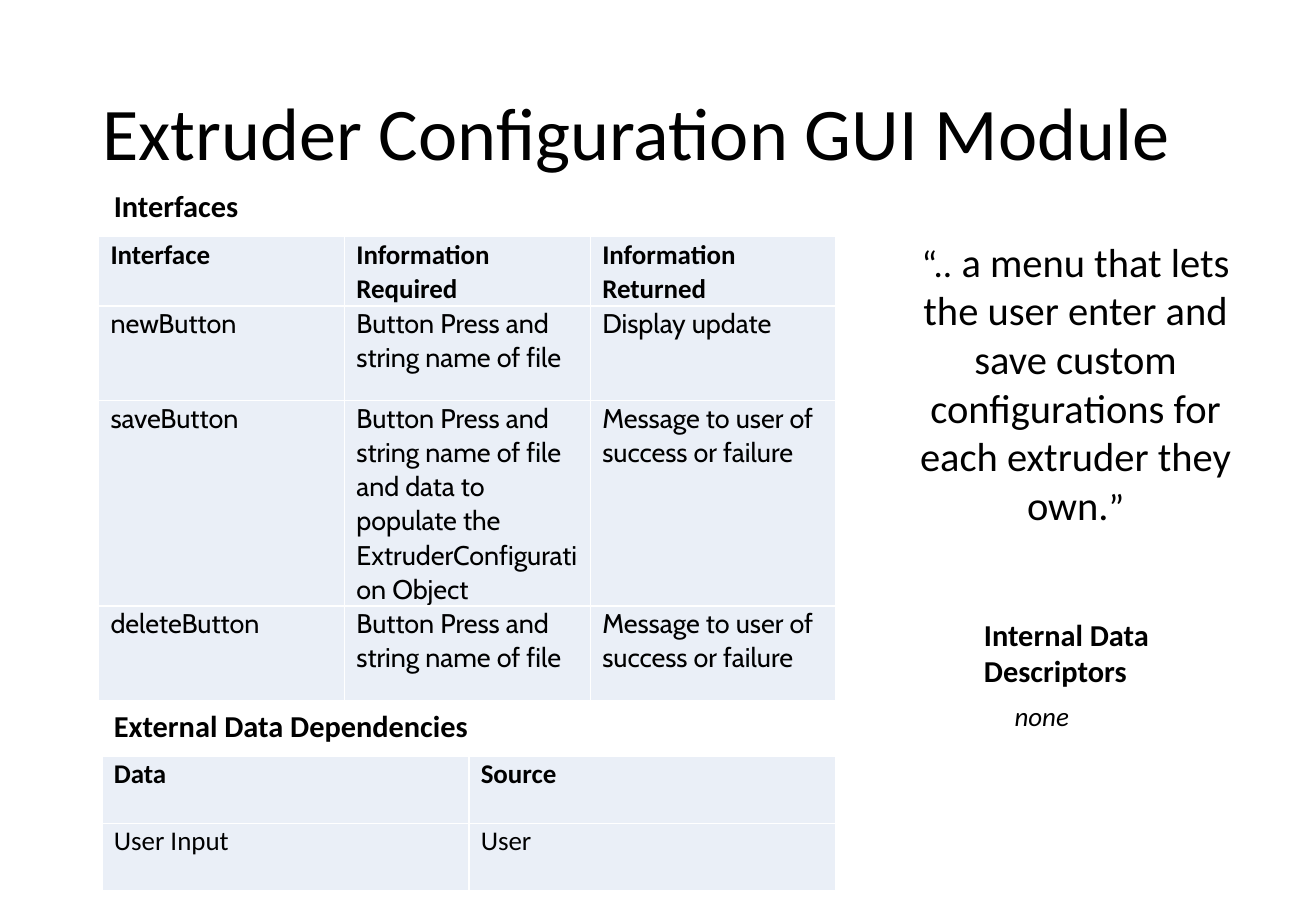
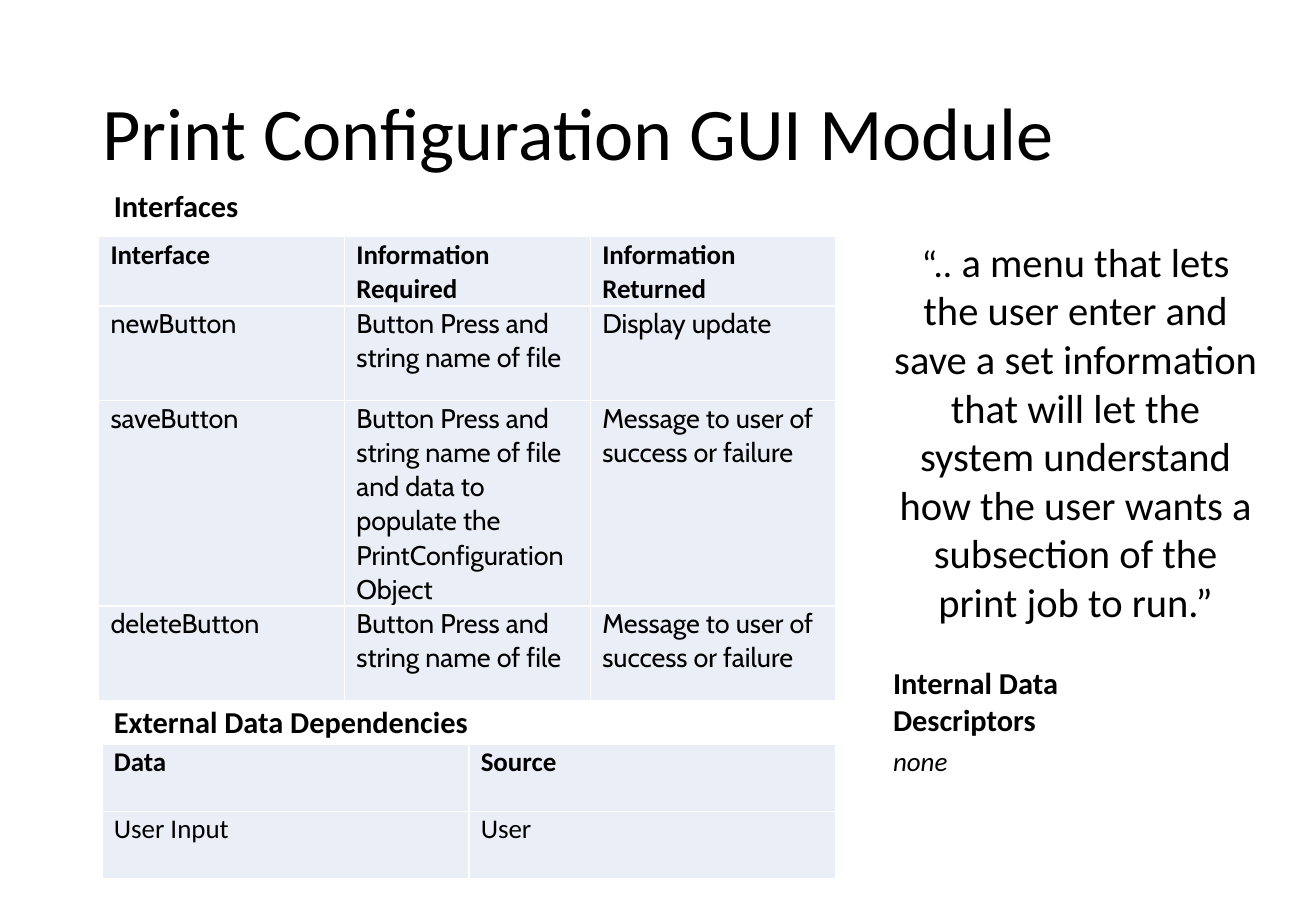
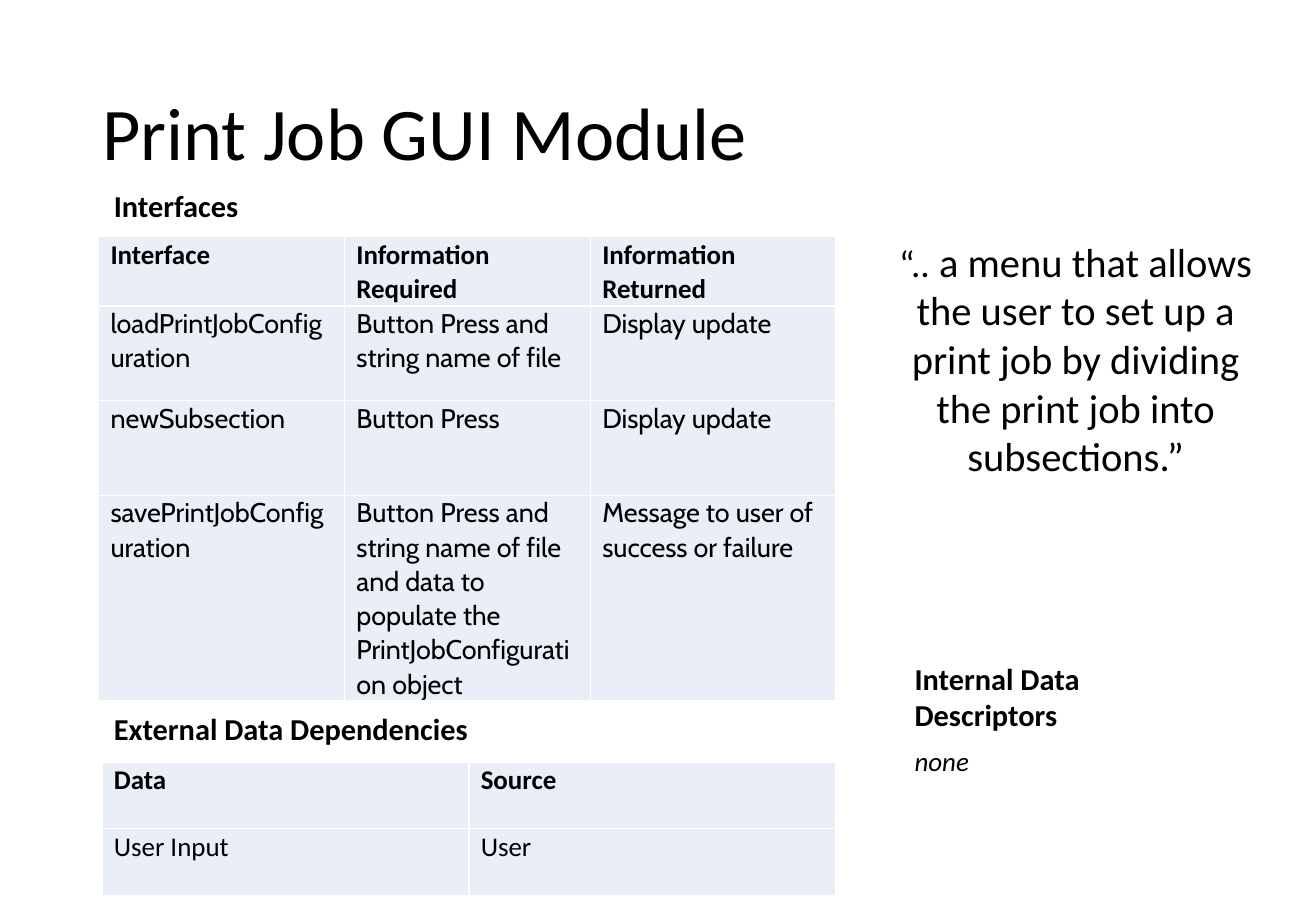
from lxml import etree
from pptx import Presentation
from pptx import util as u
from pptx.dml.color import RGBColor
from pptx.enum import text
from pptx.oxml.ns import qn

# Shared style
COLORS = {"ink": "000000", "cell": "EAEFF7", "border": "FFFFFF"}
FONT, CELL_FONT = "Calibri", "Cabin"
LEFT = 2.13


def style(p, size, font=FONT, bold=False, italic=False):
    for r in p.runs:
        r.font.name, r.font.size = font, u.Pt(size)
        r.font.bold, r.font.italic = bold, italic
        r.font.color.rgb = RGBColor.from_string(COLORS["ink"])


def add_grid(s, left, top, col_width, heights, rows, body_font):
    n_cols = len(rows[0])
    tbl = s.shapes.add_table(len(rows), n_cols, u.Cm(left), u.Cm(top),
                             u.Cm(col_width * n_cols), u.Cm(sum(heights))).table
    tbl.first_row = tbl.horz_banding = False
    for col in tbl.columns:
        col.width = u.Cm(col_width)
    for i, (height, row) in enumerate(zip(heights, rows)):
        tbl.rows[i].height = u.Cm(height)
        for j, words in enumerate(row):
            cell = tbl.cell(i, j)
            cell.margin_left = cell.margin_right = u.Cm(0.25)
            cell.margin_top = cell.margin_bottom = 0
            p = cell.text_frame.paragraphs[0]
            p.text = words
            p.line_spacing, p.space_after = 1.05, u.Pt(8)
            if i == 0:
                p.alignment = text.PP_ALIGN.JUSTIFY
            style(p, 16, body_font if i else FONT, bold=i == 0)
            # Borders come before the fill in the cell properties
            tc_pr = cell._tc.get_or_add_tcPr()
            for side in ("a:lnL", "a:lnR", "a:lnT", "a:lnB"):
                ln = etree.SubElement(tc_pr, qn(side), w=str(u.Pt(1)))
                fill = etree.SubElement(ln, qn("a:solidFill"))
                etree.SubElement(fill, qn("a:srgbClr"), val=COLORS["border"])
            cell.fill.solid()
            cell.fill.fore_color.rgb = RGBColor.from_string(COLORS["cell"])


# Content
HEADER = ("Interface", "Information Required", "Information Returned")
PRESS = "Button Press"
PRESS_FILE = "Button Press and string name of file"
POPULATE = PRESS_FILE + " and data to populate the "
UPDATE, RESULT = "Display update", "Message to user of success or failure"
SOURCES = [("Data", "Source"), ("User Input", "User")]

modules = [
    {"title": "Extruder Configuration GUI Module",
     "interfaces": [("newButton", PRESS_FILE, UPDATE),
                    ("saveButton", POPULATE + "ExtruderConfiguration Object", RESULT),
                    ("deleteButton", PRESS_FILE, RESULT)],
     "quote": [("“..", 22),
               (" a menu that lets the user enter and save custom configurations"
                " for each extruder they own.", 24), ("”", 22)],
     "quote_height": 6.4, "external_top": 14.66, "sources_top": 15.82,
     "internal": (20.32, 12.75), "none": (20.96, 14.5)},
    {"title": "Print Configuration GUI Module",
     "interfaces": [("newButton", PRESS_FILE, UPDATE),
                    ("saveButton", POPULATE + "PrintConfiguration Object", RESULT),
                    ("deleteButton", PRESS_FILE, RESULT)],
     "quote": [("“..", 22),
               (" a menu that lets the user enter and save a set information that will"
                " let the system understand how the user wants a subsection of the"
                " print job to run.”", 24)],
     "quote_height": 8.46, "external_top": 14.58, "sources_top": 15.57,
     "internal": (18.42, 13.77), "none": (18.42, 15.44)},
    {"title": "Print Job GUI Module",
     "interfaces": [("loadPrintJobConfiguration", PRESS_FILE, UPDATE),
                    ("newSubsection", PRESS, UPDATE),
                    ("savePrintJobConfiguration",
                     POPULATE + "PrintJobConfiguration object", RESULT)],
     "quote": [("“..", 22),
               (" a menu that allows the user to set up a print job by dividing the"
                " print job into subsections.”", 24)],
     "quote_height": 5.38, "external_top": 14.73, "sources_top": 15.93,
     "internal": (18.87, 13.67), "none": (18.87, 15.44)},
]

prs = Presentation()
prs.slide_width, prs.slide_height = u.Cm(27.51), u.Cm(19.05)
layout = prs.slide_layouts[5]

# Title position, shared through the layout
sp = layout.placeholders[0]
sp.left, sp.top, sp.width, sp.height = u.Cm(1.88), u.Cm(1.02), u.Cm(23.72), u.Cm(3.68)

for module in modules:
    s = prs.slides.add_slide(layout)

    # Title
    tf = s.shapes.title.text_frame
    tf.text = module["title"]
    tf.vertical_anchor = text.MSO_ANCHOR.MIDDLE
    tf.auto_size = text.MSO_AUTO_SIZE.NONE
    p = tf.paragraphs[0]
    p.alignment, p.line_spacing = text.PP_ALIGN.LEFT, 0.9
    style(p, 44)

    # Tables
    add_grid(s, 2.06, 4.95, 5.14, [1.3] + [1.98] * 3,
             [HEADER] + module["interfaces"], CELL_FONT)
    add_grid(s, LEFT, module["sources_top"], 7.67, [1.4] * 2, SOURCES, FONT)

    # Headings, descriptor and quote
    heading, plain = {"bold": True}, {}
    boxes = [
        ((LEFT, 3.78), 6.81, 1.02, [("Interfaces", 18)], heading),
        ((LEFT, module["external_top"]), 9.3, 1.02,
         [("External Data Dependencies", 18)], heading),
        (module["internal"], 6.4, 1.8, [("Internal Data Descriptors", 18)], heading),
        (module["none"], 5.26, 0.94, [("none", 16)], {"italic": True}),
        ((18.42, 4.83), 8.13, module["quote_height"], module["quote"], plain),
    ]
    for (left, top), width, height, runs, look in boxes:
        tf = s.shapes.add_textbox(u.Cm(left), u.Cm(top),
                                  u.Cm(width), u.Cm(height)).text_frame
        tf.word_wrap = True
        tf.auto_size = text.MSO_AUTO_SIZE.SHAPE_TO_FIT_TEXT
        p = tf.paragraphs[0]
        for words, size in runs:
            p.add_run().text = words
        style(p, runs[0][1], **look)
        for r, (words, size) in zip(p.runs, runs):
            r.font.size = u.Pt(size)
        if look is plain:
            p.alignment = text.PP_ALIGN.CENTER

prs.save("out.pptx")
